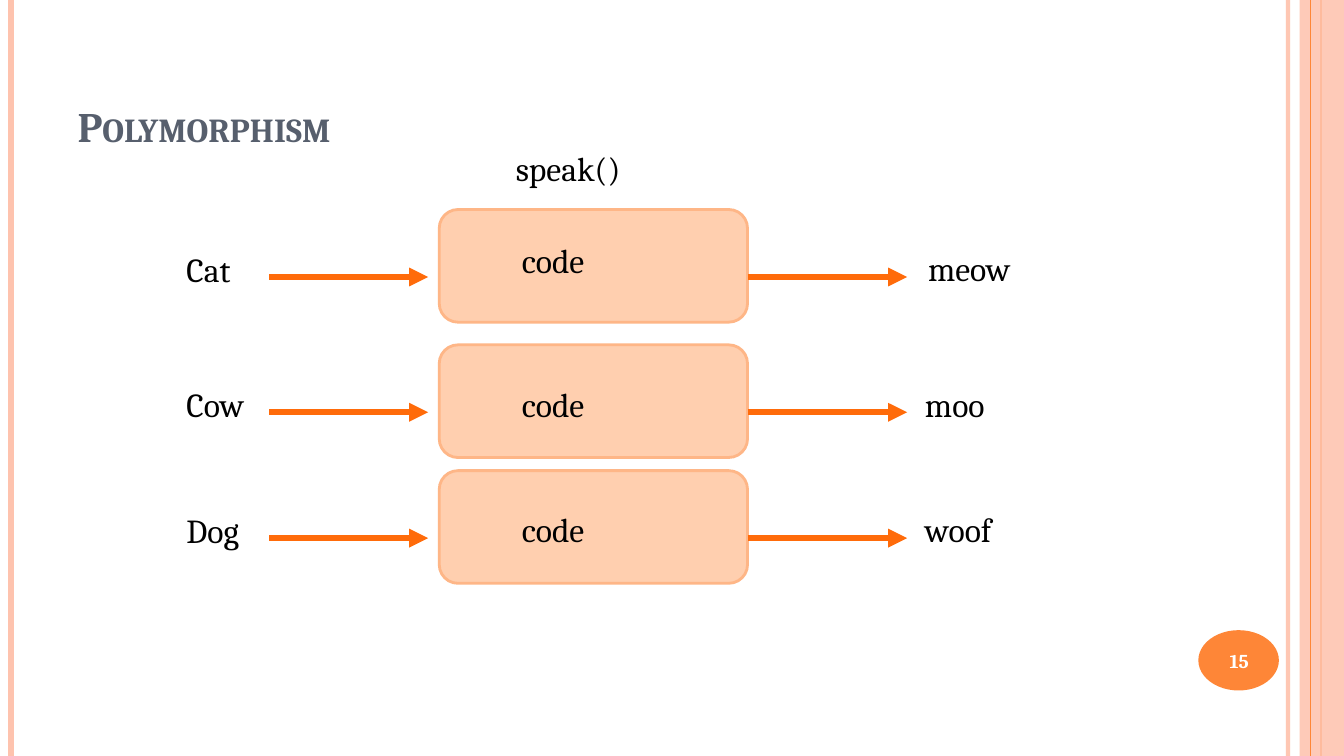
from lxml.etree import SubElement
from pptx import Presentation
from pptx.dml.color import RGBColor
from pptx.enum.shapes import MSO_CONNECTOR, MSO_SHAPE
from pptx.enum.text import MSO_ANCHOR, PP_ALIGN
from pptx.oxml.ns import qn
from pptx.util import Cm, Pt

FONT = "Cambria"
SLIDE_WIDTH, SLIDE_HEIGHT = 33.87, 19.05

presentation = Presentation()
presentation.slide_width = Cm(SLIDE_WIDTH)
presentation.slide_height = Cm(SLIDE_HEIGHT)
slide = presentation.slides.add_slide(presentation.slide_layouts[5])
shapes = slide.shapes


def paint(color_format, hex_color, opacity=100):
    color_format.rgb = RGBColor.from_string(hex_color)
    if opacity < 100:
        color = color_format._xFill.find(qn("a:srgbClr"))
        SubElement(color, qn("a:alpha"), val=str(opacity * 1000))


def add_line(start, end, hex_color, width, opacity=100):
    line = shapes.add_connector(MSO_CONNECTOR.STRAIGHT, *map(Cm, start + end))
    line.line.fill.solid()
    paint(line.line.fill.fore_color, hex_color, opacity)
    line.line.width = Pt(width)
    SubElement(line._element.spPr, qn("a:effectLst"))
    return line


# Side stripes, the right band and the page number disc
for x, color, width, opacity in [(32.46, "FEC3AE", 3, 93), (0.28, "FEC3AE", 4.5, 100),
                                 (33.3, "FE8637", 1.5, 100)]:
    add_line((x, 0), (x, SLIDE_HEIGHT), color, width, opacity)

band = shapes.add_shape(MSO_SHAPE.RECTANGLE, Cm(32.75), 0, Cm(1.12), Cm(SLIDE_HEIGHT))
disc = shapes.add_shape(MSO_SHAPE.OVAL, Cm(30.2), Cm(15.88), Cm(2.03), Cm(1.52))
for ornament, color, opacity in [(band, "FEC3AE", 87), (disc, "FE8637", 100)]:
    ornament.shadow.inherit = False
    ornament.fill.solid()
    paint(ornament.fill.fore_color, color, opacity)
    ornament.line.fill.background()
add_line((33.02, 0), (33.02, SLIDE_HEIGHT), "FE8637", 0.75)

# Title
title = shapes.title
title.left, title.top, title.width, title.height = Cm(1.7), Cm(0.76), Cm(28.5), Cm(3.18)
title.text_frame.text = "Polymorphism"
title.text_frame.vertical_anchor = MSO_ANCHOR.BOTTOM
heading = title.text_frame.paragraphs[0]
heading.alignment = PP_ALIGN.LEFT
heading_run = heading.runs[0]
heading_run.font.name = FONT
heading_run.font.size = Pt(30)
heading_run.font.bold = True
paint(heading_run.font.color, "575F6D")
heading_run.font._element.set("cap", "small")

# One row per animal: box, arrow in and arrow out
labels = [("speak()", 12.75, 3.61)]
for animal, sound, row_top, sound_left, code_drop in [
        ("Cat", "meow", 5.28, 23.14, 0.64),
        ("Cow", "moo", 8.69, 23.06, 0.86),
        ("Dog", "woof", 11.86, 23.06, 0.84)]:
    box = shapes.add_shape(MSO_SHAPE.ROUNDED_RECTANGLE,
                           Cm(11.07), Cm(row_top), Cm(7.77), Cm(2.84))
    box.shadow.inherit = False
    box.fill.solid()
    paint(box.fill.fore_color, "FFCFAF")
    paint(box.line.color, "FEB687")
    box.line.width = Pt(2)

    arrow_y = row_top + 1.7
    for arrow_left in (6.78, 18.85):
        arrow = add_line((arrow_left, arrow_y), (arrow_left + 4.01, arrow_y), "FF6B0A", 4.5)
        SubElement(arrow.line._get_or_add_ln(), qn("a:tailEnd"), type="triangle")

    labels += [(animal, 4.45, row_top + 0.86),
               ("code", 12.9, row_top + code_drop),
               (sound, sound_left, row_top + 0.85)]

# Labels over the diagram
for wording, left, top in labels:
    label = shapes.add_textbox(Cm(left), Cm(top), Cm(6.3), Cm(1.2))
    label.text_frame.word_wrap = True
    label.text_frame.text = wording
    label_run = label.text_frame.paragraphs[0].runs[0]
    label_run.font.name = FONT
    label_run.font.size = Pt(24)
    paint(label_run.font.color, "000000")

# Page number
page_number = shapes.add_textbox(Cm(30.1), Cm(15.93), Cm(2.26), Cm(1.45))
page_number.text_frame.word_wrap = True
page_number.text_frame.vertical_anchor = MSO_ANCHOR.MIDDLE
page_number.text_frame.text = "15"
page_number.text_frame.paragraphs[0].alignment = PP_ALIGN.CENTER
number_run = page_number.text_frame.paragraphs[0].runs[0]
number_run.font.name = FONT
number_run.font.size = Pt(14)
number_run.font.bold = True
paint(number_run.font.color, "FFFFFF")

presentation.save("out.pptx")
